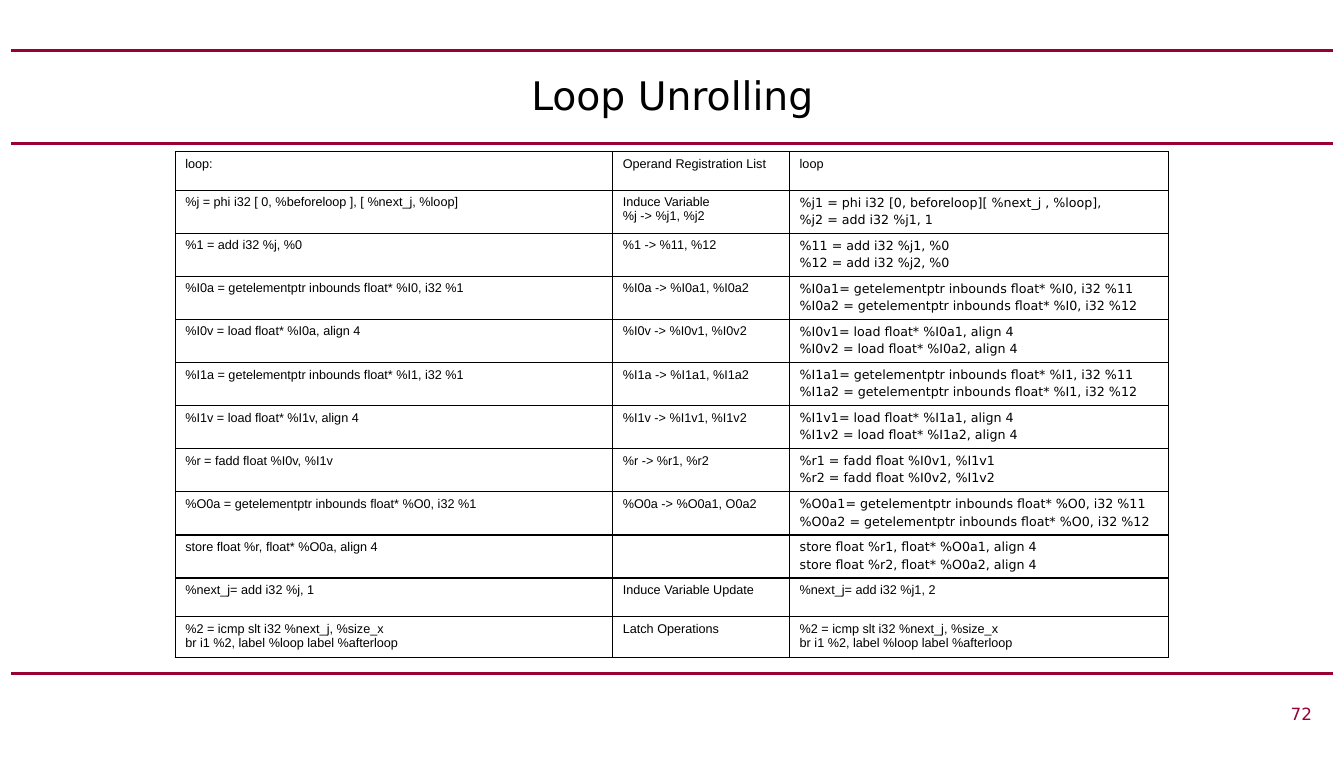
from pptx import Presentation
from pptx.dml.color import RGBColor
from pptx.enum.shapes import MSO_CONNECTOR as Conn
from pptx.enum.text import MSO_ANCHOR as Anchor, PP_ALIGN as Align
from pptx.oxml import parse_xml
from pptx.oxml.ns import nsdecls, qn
from pptx.util import Pt

RED, BLACK, WHITE = "990033", "000000", "FFFFFF"
SANS, ARIAL = "DejaVu Sans", "Arial"


def rgb(code):
    """Turn a hex string into a colour."""
    return RGBColor.from_string(code)


class Deck:
    """Hold the style and the current slide."""

    def __init__(self, wide, high):
        """Open a blank slide of the given size."""
        self.prs = Presentation()
        self.prs.slide_width, self.prs.slide_height = Pt(wide), Pt(high)
        self.slide = self.prs.slides.add_slide(self.prs.slide_layouts[6])
        self.shapes = self.slide.shapes

    def style(self, frame, size, font, color=BLACK, align=Align.LEFT, gap=0):
        """Format every run and space the paragraphs after the first."""
        for num, para in enumerate(frame.paragraphs):
            para.alignment = align
            if gap and num:
                para.space_before = Pt(gap)
            for run in para.runs:
                run.font.size, run.font.name = Pt(size), font
                run.font.color.rgb = rgb(color)

    def rule(self, left, right, top):
        """Draw a level red line."""
        line = self.shapes.add_connector(
            Conn.STRAIGHT, Pt(left), Pt(top), Pt(right), Pt(top))
        line.line.color.rgb, line.line.width = rgb(RED), Pt(2.25)
        line._element.spPr.append(parse_xml(f"<a:effectLst {nsdecls('a')}/>"))

    def text(self, words, box, size, color, align, anchor=Anchor.TOP):
        """Add a wrapped text box."""
        frame = self.shapes.add_textbox(*map(Pt, box)).text_frame
        frame.word_wrap, frame.vertical_anchor = True, anchor
        frame.text = words
        self.style(frame, size, SANS, color, align)

    def border(self, cell):
        """Put a thin black line on all sides of a cell."""
        props = cell._tc.get_or_add_tcPr()
        for num, side in enumerate(("lnL", "lnR", "lnT", "lnB")):
            props.insert(num, parse_xml(
                f'<a:{side} {nsdecls("a")} w="{Pt(1)}"><a:solidFill>'
                f'<a:srgbClr val="{BLACK}"/></a:solidFill></a:{side}>'))

    def cell(self, cell, words, font, gap):
        """Fill, frame and write one cell."""
        cell.fill.solid()
        cell.fill.fore_color.rgb = rgb(WHITE)
        self.border(cell)
        cell.text_frame.text = words
        self.style(cell.text_frame, 9, font, gap=gap)

    def table(self, rows, left, top, cols, tall, short):
        """Add the table, with taller rows where code is unrolled."""
        high = [tall if 0 < num < len(rows) - 2 else short
                for num in range(len(rows))]
        grid = self.shapes.add_table(
            len(rows), len(cols), Pt(left), Pt(top),
            Pt(sum(cols)), Pt(sum(high))).table
        grid.first_row = grid.horz_banding = False
        for col, wide in zip(grid.columns, cols):
            col.width = Pt(wide)
        for r, row in enumerate(rows):
            grid.rows[r].height = Pt(high[r])
            for c, words in enumerate(row):
                code = c == 2 and high[r] == tall
                self.cell(grid.cell(r, c), words,
                          SANS if code else ARIAL, 1.8 if code else 0)


LATCH = "%2 = icmp slt i32 %next_j, %size_x\nbr i1 %2, label %loop label %afterloop"
ROWS = [
    ("loop:", "Operand Registration List", "loop"),
    ("%j = phi i32 [ 0, %beforeloop ], [ %next_j, %loop]",
     "Induce Variable\n%j -> %j1, %j2",
     "%j1 = phi i32 [0, beforeloop][ %next_j , %loop],\n%j2 = add i32 %j1, 1"),
    ("%1 = add i32 %j, %0", "%1 -> %11, %12",
     "%11 = add i32 %j1, %0\n%12 = add i32 %j2, %0"),
    ("%I0a = getelementptr inbounds float* %I0, i32 %1",
     "%I0a -> %I0a1, %I0a2",
     "%I0a1= getelementptr inbounds float* %I0, i32 %11\n"
     "%I0a2 = getelementptr inbounds float* %I0, i32 %12"),
    ("%I0v = load float* %I0a, align 4", "%I0v -> %I0v1, %I0v2",
     "%I0v1= load float* %I0a1, align 4\n%I0v2 = load float* %I0a2, align 4"),
    ("%I1a = getelementptr inbounds float* %I1, i32 %1",
     "%I1a -> %I1a1, %I1a2",
     "%I1a1= getelementptr inbounds float* %I1, i32 %11\n"
     "%I1a2 = getelementptr inbounds float* %I1, i32 %12"),
    ("%I1v = load float* %I1v, align 4", "%I1v -> %I1v1, %I1v2",
     "%I1v1= load float* %I1a1, align 4\n%I1v2 = load float* %I1a2, align 4"),
    ("%r = fadd float %I0v, %I1v", "%r -> %r1, %r2",
     "%r1 = fadd float %I0v1, %I1v1\n%r2 = fadd float %I0v2, %I1v2"),
    ("%O0a = getelementptr inbounds float* %O0, i32 %1",
     "%O0a -> %O0a1, O0a2",
     "%O0a1= getelementptr inbounds float* %O0, i32 %11\n"
     "%O0a2 = getelementptr inbounds float* %O0, i32 %12"),
    ("store float %r, float* %O0a, align 4", "",
     "store float %r1, float* %O0a1, align 4\n"
     "store float %r2, float* %O0a2, align 4"),
    ("%next_j= add i32 %j, 1", "Induce Variable Update",
     "%next_j= add i32 %j1, 2"),
    (LATCH, "Latch Operations", LATCH),
]

deck = Deck(957.6, 540)
for top in (36, 102, 480):
    deck.rule(8, 950, top)
deck.text("Loop Unrolling", (48, 36, 862, 63), 28, BLACK,
          Align.CENTER, Anchor.MIDDLE)
deck.text("72", (271.5, 498, 670.5, 24), 12, RED, Align.RIGHT)
deck.table(ROWS, 124.8, 108, (311.8, 126, 270), 30.1, 27.5)
deck.prs.save("out.pptx")
